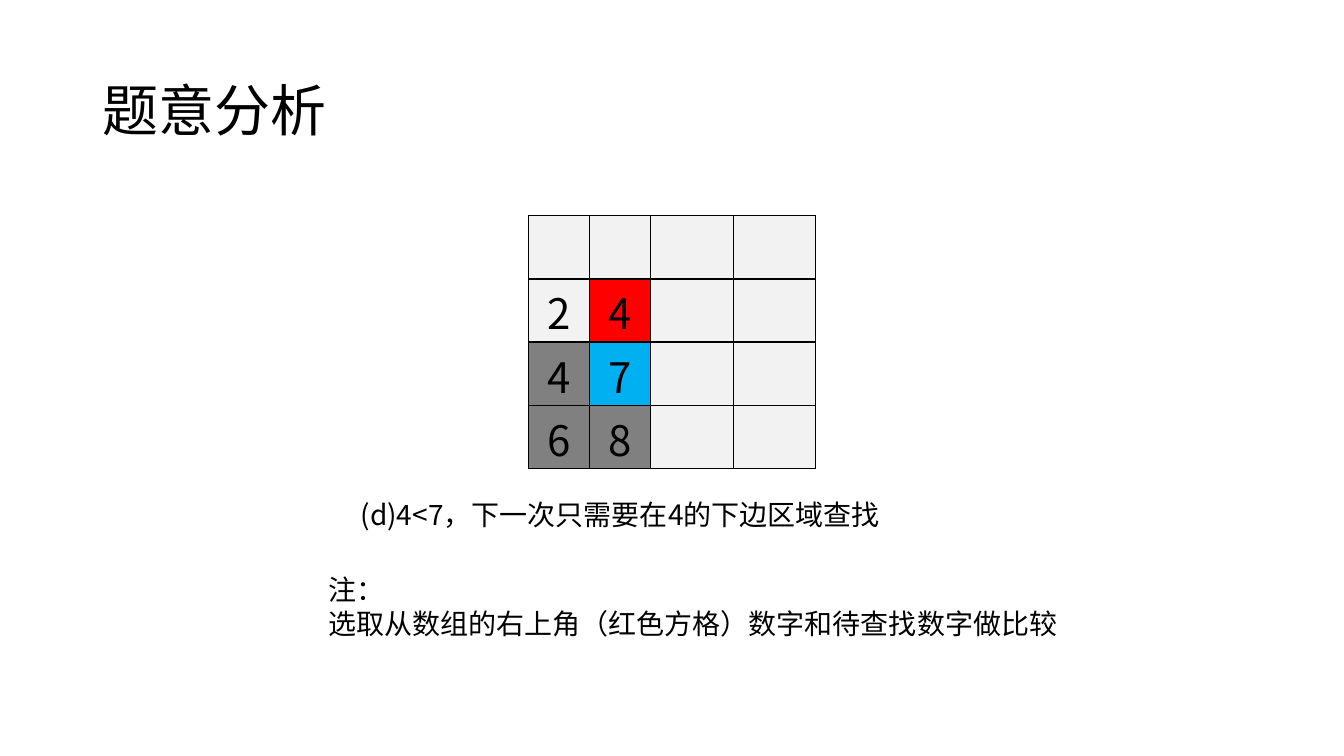
"""Build the slide that shows one step of searching a sorted matrix."""
import pptx
import pptx.dml.color
import pptx.enum.text
import pptx.oxml.ns
import pptx.util
from lxml import etree

Cm, Pt = pptx.util.Cm, pptx.util.Pt
RGBColor = pptx.dml.color.RGBColor
ANCHOR, ALIGN = pptx.enum.text.MSO_ANCHOR, pptx.enum.text.PP_ALIGN
qn = pptx.oxml.ns.qn

FONT = "Noto Sans CJK SC"
BLACK = RGBColor(0x00, 0x00, 0x00)
PALE = RGBColor(0xF2, 0xF2, 0xF2)
RED = RGBColor(0xFF, 0x00, 0x00)
GRAY = RGBColor(0x80, 0x80, 0x80)
BLUE = RGBColor(0x00, 0xB0, 0xF0)

TITLE = "题意分析"
CAPTION = "(d)4<7，下一次只需要在4的下边区域查找"
NOTE = ["注：", "选取从数组的右上角（红色方格）数字和待查找数字做比较"]
EMPTY = ("", PALE)
MATRIX = [
    [EMPTY, EMPTY, EMPTY, EMPTY],
    [("2", PALE), ("4", RED), EMPTY, EMPTY],
    [("4", GRAY), ("7", BLUE), EMPTY, EMPTY],
    [("6", GRAY), ("8", GRAY), EMPTY, EMPTY],
]
COLUMN_WIDTHS = [1.54, 1.54, 2.08, 2.08]
ROW_HEIGHT = 1.59


def add_run(p, text, size):
    r = p.add_run()
    r.text = text
    r.font.size = Pt(size)
    r.font.name = FONT
    r.font.color.rgb = BLACK
    etree.SubElement(r.font._element, qn("a:ea"), typeface=FONT)


def add_text(s, box, lines, size, wrap=True, anchor=ANCHOR.TOP, spacing=1.0):
    tf = s.shapes.add_textbox(*map(Cm, box)).text_frame
    tf.word_wrap = wrap
    tf.vertical_anchor = anchor
    for i, line in enumerate(lines):
        p = tf.add_paragraph() if i else tf.paragraphs[0]
        p.line_spacing = spacing
        add_run(p, line, size)


def add_borders(cell):
    tc_pr = cell._tc.get_or_add_tcPr()
    for side in ("a:lnL", "a:lnR", "a:lnT", "a:lnB"):
        ln = etree.SubElement(tc_pr, qn(side), w=str(Pt(1)))
        fill = etree.SubElement(ln, qn("a:solidFill"))
        etree.SubElement(fill, qn("a:srgbClr"), val=str(BLACK))


def add_matrix(s, left, top):
    width, height = sum(COLUMN_WIDTHS), ROW_HEIGHT * len(MATRIX)
    table = s.shapes.add_table(len(MATRIX), len(COLUMN_WIDTHS),
                               Cm(left), Cm(top), Cm(width), Cm(height)).table
    table.first_row = table.horz_banding = False
    for column, column_width in zip(table.columns, COLUMN_WIDTHS):
        column.width = Cm(column_width)
    for row, values in zip(table.rows, MATRIX):
        row.height = Cm(ROW_HEIGHT)
        for cell, (text, color) in zip(row.cells, values):
            add_borders(cell)
            cell.fill.solid()
            cell.fill.fore_color.rgb = color
            if text:
                cell.margin_left = cell.margin_right = cell.margin_top = Cm(0.05)
                cell.margin_bottom = 0
                cell.vertical_anchor = ANCHOR.BOTTOM
                p = cell.text_frame.paragraphs[0]
                p.alignment = ALIGN.CENTER
                add_run(p, text, 30)


prs = pptx.Presentation()
prs.slide_width, prs.slide_height = Cm(33.87), Cm(19.05)
s = prs.slides.add_slide(prs.slide_layouts[6])
add_text(s, (2.33, 1.01, 29.21, 3.68), [TITLE], 40, anchor=ANCHOR.MIDDLE, spacing=0.9)
add_matrix(s, 13.32, 5.44)
add_text(s, (8.84, 12.4, 16.2, 1.12), [CAPTION], 20)
add_text(s, (8.02, 14.3, 19.76, 1.96), NOTE, 20, wrap=False)
prs.save("out.pptx")
